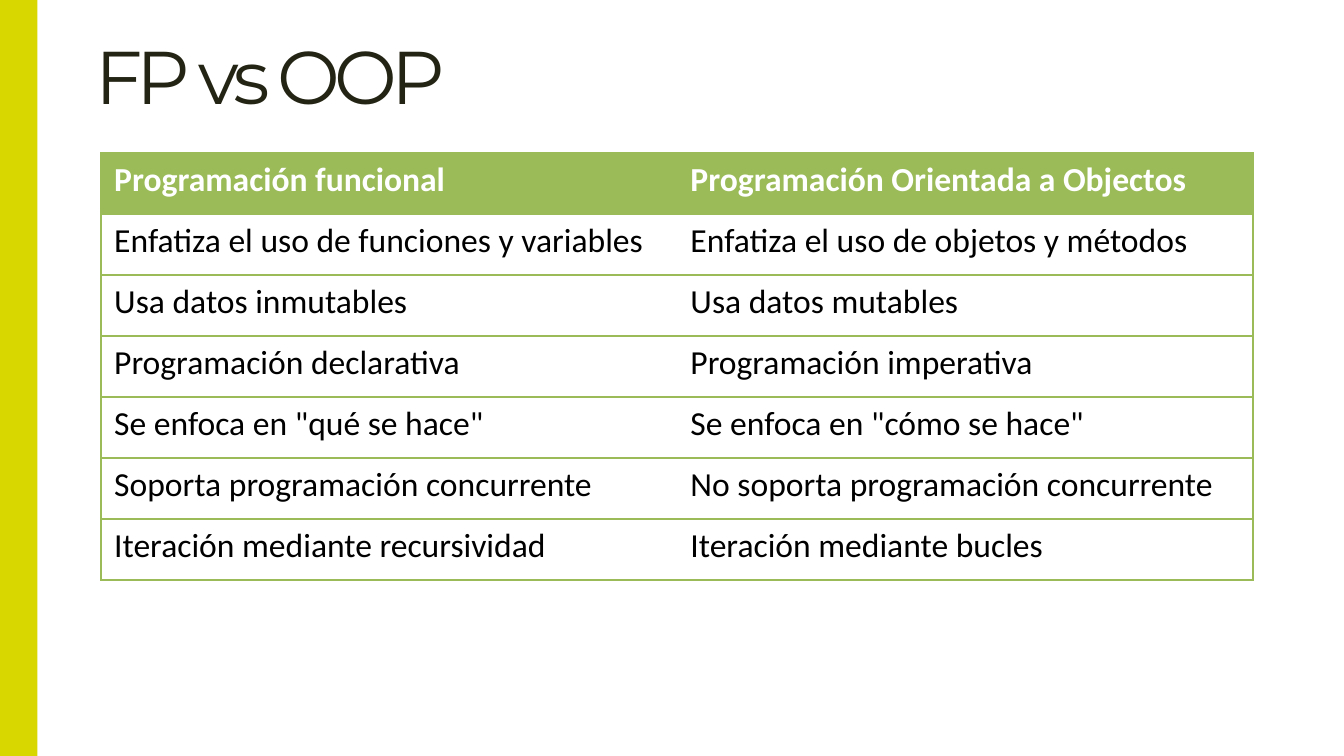
from lxml import etree
from pptx import Presentation
from pptx.dml.color import RGBColor
from pptx.enum import shapes, text
from pptx.oxml.ns import qn
from pptx.util import Pt

COLORS = {"accent": "D8D800", "title": "242415", "green": "9BBB59",
          "white": "FFFFFF", "black": "000000"}
SLIDE_W, SLIDE_H = 720, 405
ROWS = [
    ("Programación funcional", "Programación Orientada a Objectos"),
    ("Enfatiza el uso de funciones y variables", "Enfatiza el uso de objetos y métodos"),
    ("Usa datos inmutables", "Usa datos mutables"),
    ("Programación declarativa", "Programación imperativa"),
    ('Se enfoca en "qué se hace"', 'Se enfoca en "cómo se hace"'),
    ("Soporta programación concurrente", "No soporta programación concurrente"),
    ("Iteración mediante recursividad", "Iteración mediante bucles"),
]


def rgb(name):
    return RGBColor.from_string(COLORS[name])


def write(tf, content, *, size, font, color, bold=False, spacing=0):
    p = tf.paragraphs[0]
    p.alignment = text.PP_ALIGN.LEFT
    r = p.add_run()
    r.text = content
    r.font.size, r.font.name, r.font.bold = Pt(size), font, bold
    r.font.color.rgb = rgb(color)
    if spacing:
        r._r.get_or_add_rPr().set("spc", str(spacing * 100))


def set_borders(cell, visible):
    """Draw the named sides (of L, R, T, B) and hide the others."""
    tc_pr = cell._tc.get_or_add_tcPr()
    for side in "LRTB":
        ln = etree.SubElement(tc_pr, qn(f"a:ln{side}"), w=str(Pt(1)))
        if side in visible:
            fill = etree.SubElement(ln, qn("a:solidFill"))
            etree.SubElement(fill, qn("a:srgbClr"), val=COLORS["green"])
        else:
            etree.SubElement(ln, qn("a:noFill"))


def add_title(s, x, y, w, h):
    tf = s.shapes.add_textbox(Pt(x), Pt(y), Pt(w), Pt(h)).text_frame
    tf.word_wrap = True
    tf.vertical_anchor = text.MSO_ANCHOR.BOTTOM
    tf.margin_left = tf.margin_right = tf.margin_top = tf.margin_bottom = 0
    write(tf, "FP vs OOP", size=40, font="Montserrat", color="title", spacing=-3)


def add_side_bar(s, x, y, w, h):
    sp = s.shapes.add_shape(shapes.MSO_SHAPE.RECTANGLE, Pt(x), Pt(y), Pt(w), Pt(h))
    sp.shadow.inherit = False
    sp.fill.solid()
    sp.fill.fore_color.rgb = rgb("accent")
    sp.line.fill.background()


def add_comparison(s, x, y, w, h):
    n_cols = len(ROWS[0])
    table = s.shapes.add_table(len(ROWS), n_cols, Pt(x), Pt(y), Pt(w), Pt(h)).table
    table.horz_banding = False
    for col in table.columns:
        col.width = Pt(w / n_cols)
    for i, (row, labels) in enumerate(zip(table.rows, ROWS)):
        row.height = Pt(h / len(ROWS))
        header = i == 0
        for j, (cell, label) in enumerate(zip(row.cells, labels)):
            # Outer frame and row rules, no line between the columns
            set_borders(cell, "LTB" if j == 0 else "RTB")
            cell.fill.solid()
            cell.fill.fore_color.rgb = rgb("green" if header else "white")
            write(cell.text_frame, label, size=18, font="Calibri", bold=header,
                  color="white" if header else "black")


def main():
    prs = Presentation()
    prs.slide_width, prs.slide_height = Pt(SLIDE_W), Pt(SLIDE_H)
    s = prs.slides.add_slide(prs.slide_layouts[6])
    add_title(s, 51, 0, 649, 64)
    add_side_bar(s, 0, 0, 20, SLIDE_H)
    add_comparison(s, 54, 82, 617.4, 228.9)
    prs.save("out.pptx")


if __name__ == "__main__":
    main()
